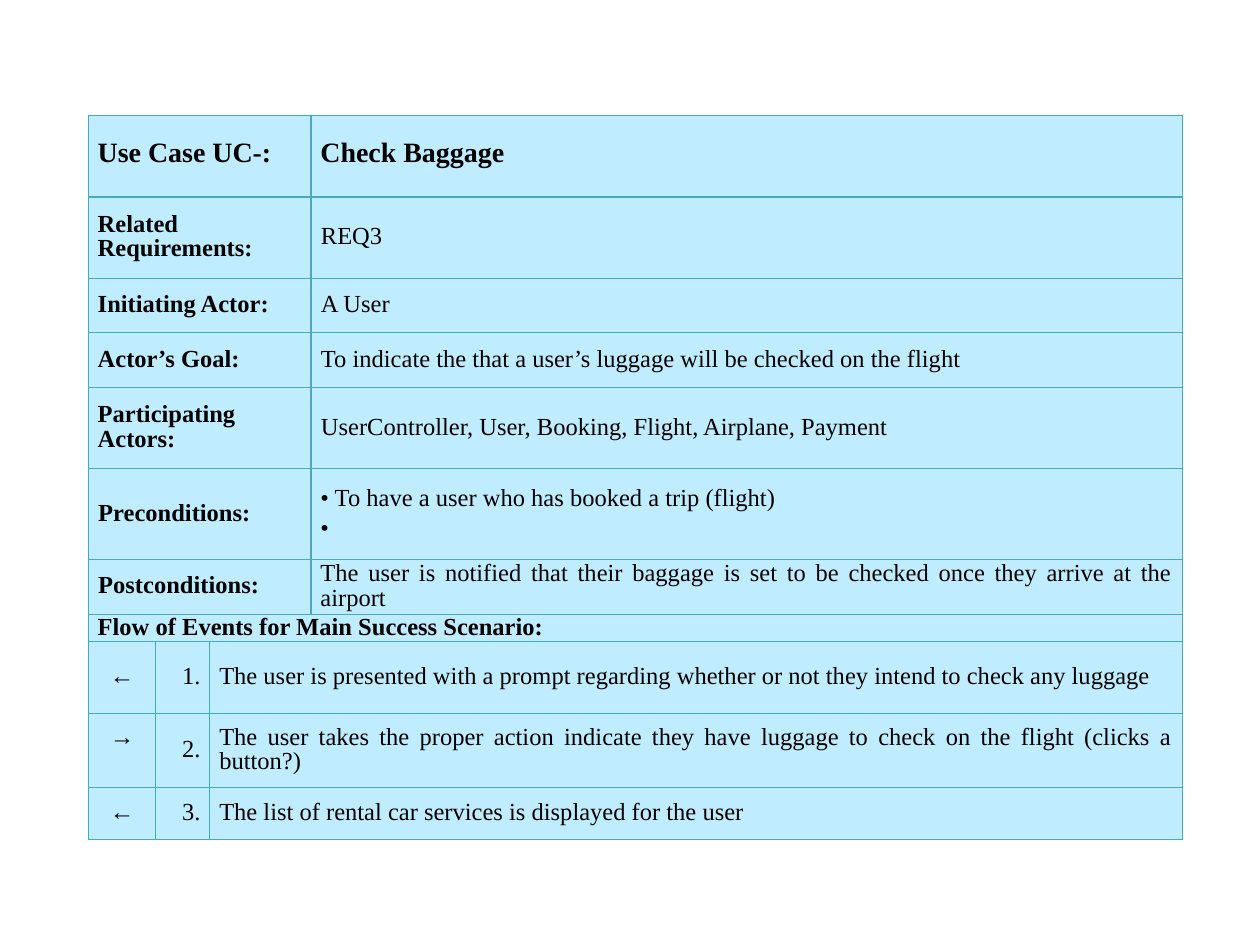
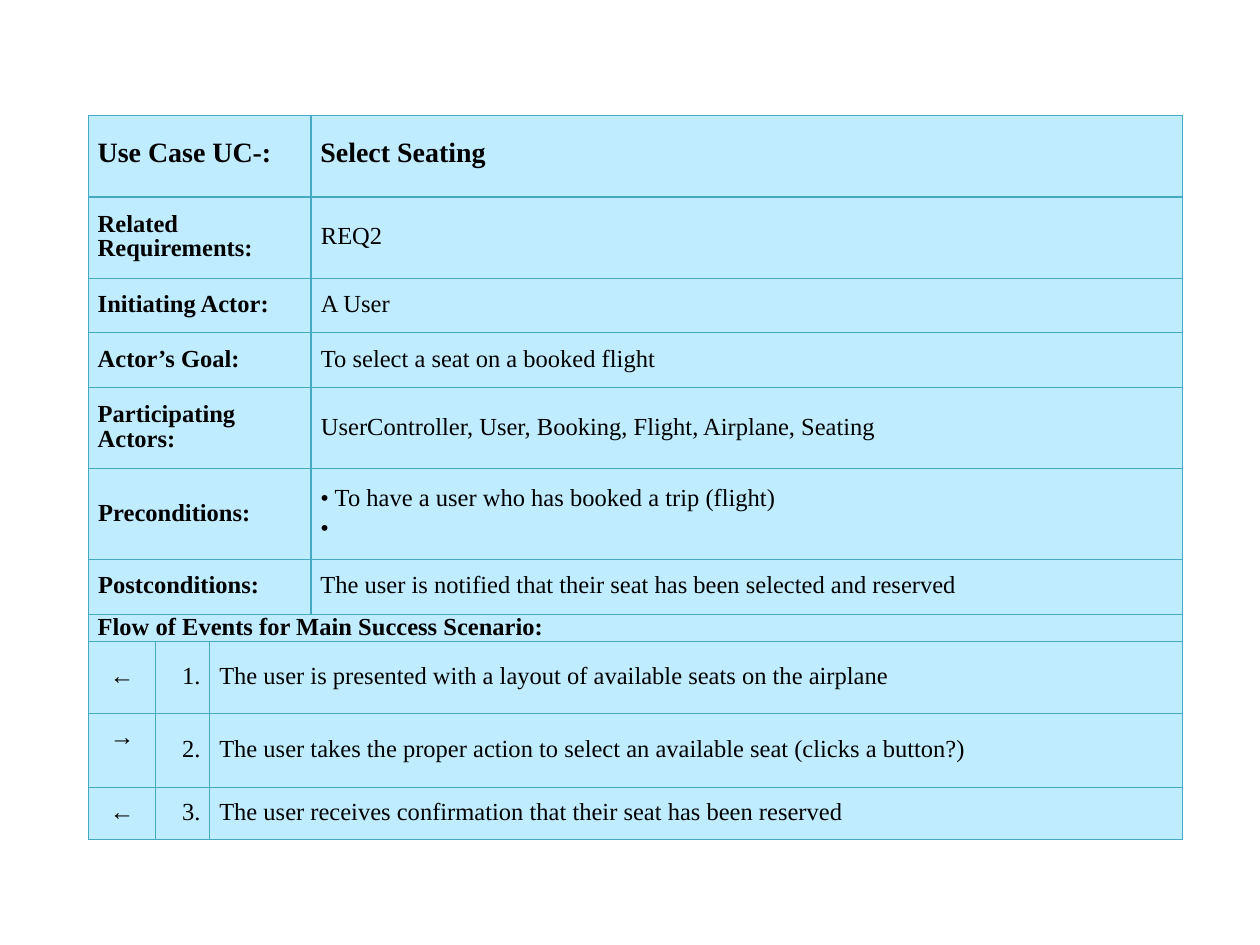
import pptx
import pptx.util
import pptx.dml.color
import pptx.enum.text
from lxml import etree

Cm, Pt = pptx.util.Cm, pptx.util.Pt
ALIGN = pptx.enum.text.PP_ALIGN
LEFT, CENTER, RIGHT, JUSTIFY = ALIGN.LEFT, ALIGN.CENTER, ALIGN.RIGHT, ALIGN.JUSTIFY

FONT = "Times New Roman"
INK, FILL, BORDER = "000000", "BFECFF", "46AAC5"
TABLE_LEFT, TABLE_TOP = 1.78, 2.33
COLUMNS = [1.36, 1.09, 2.04, 17.56]
ROWS = [1.64, 1.64, 1.1, 1.1, 1.64, 1.83, 1.1, 0.56, 1.45, 1.48, 1.06]

# Left and right cell margins in cm
EVEN, VALUE, CONDITION = (0.19, 0.19), (0.2, 0.1), (0.2, 0.05)

# Label, margins of the label, margins of its value
FIELDS = [
    ("Related Requirements:", EVEN, VALUE),
    ("Initiating Actor:", EVEN, VALUE),
    ("Actor’s Goal:", EVEN, VALUE),
    ("Participating Actors:", EVEN, VALUE),
    ("Preconditions:", CONDITION, EVEN),
    ("Postconditions:", CONDITION, EVEN),
]
FLOW_HEADING = "Flow of Events for Main Success Scenario:"
# Arrow, space kept free below it in cm
ARROWS = [("←", 0), ("→", 0.49), ("←", 0)]
PRECONDITIONS = ["• To have a user who has booked a trip (flight)", "•"]

USE_CASES = [
    {
        "name": "Check Baggage",
        "values": [
            ["REQ3"],
            ["A User"],
            ["To indicate the that a user’s luggage will be checked on the flight"],
            ["UserController, User, Booking, Flight, Airplane, Payment"],
            PRECONDITIONS,
            ["The user is notified that their baggage is set to be checked "
             "once they arrive at the airport"],
        ],
        "steps": [
            "The user is presented with a prompt regarding whether or not "
            "they intend to check any luggage",
            "The user takes the proper action indicate they have luggage "
            "to check on the flight (clicks a button?)",
            "The list of rental car services is displayed for the user",
        ],
    },
    {
        "name": "Select Seating",
        "values": [
            ["REQ2"],
            ["A User"],
            ["To select a seat on a booked flight"],
            ["UserController, User, Booking, Flight, Airplane, Seating"],
            PRECONDITIONS,
            ["The user is notified that their seat has been selected and reserved"],
        ],
        "steps": [
            "The user is presented with a layout of available seats on the airplane",
            "The user takes the proper action to select an available seat "
            "(clicks a button?)",
            "The user receives confirmation that their seat has been reserved",
        ],
    },
]


def rgb(value):
    """Turn a hex string into a colour."""
    return pptx.dml.color.RGBColor.from_string(value)


def style_cell(cell):
    """Give a cell its borders on four sides and its fill."""
    tc_pr = cell._tc.get_or_add_tcPr()
    ns = "{http://schemas.openxmlformats.org/drawingml/2006/main}"
    for side in ("lnL", "lnR", "lnT", "lnB"):
        line = etree.SubElement(tc_pr, ns + side, w=str(Pt(0.75)))
        solid = etree.SubElement(line, ns + "solidFill")
        etree.SubElement(solid, ns + "srgbClr", val=BORDER)
    cell.fill.solid()
    cell.fill.fore_color.rgb = rgb(FILL)


def write(cell, lines, size=14, bold=False, align=JUSTIFY, before=0,
          margins=EVEN, bottom=0):
    """Write one paragraph per line into a cell."""
    cell.vertical_anchor = pptx.enum.text.MSO_ANCHOR.MIDDLE
    cell.margin_left, cell.margin_right = (Cm(m) for m in margins)
    cell.margin_top, cell.margin_bottom = 0, Cm(bottom)
    tf = cell.text_frame
    for i, line in enumerate(lines):
        p = tf.add_paragraph() if i else tf.paragraphs[0]
        p.alignment = align
        p.line_spacing = Pt(14)
        p.space_before = Pt(before)
        r = p.add_run()
        r.text = line
        r.font.name, r.font.size, r.font.bold = FONT, Pt(size), bold
        r.font.color.rgb = rgb(INK)


def add_grid(s):
    """Add the empty styled table to a slide."""
    frame = s.shapes.add_table(len(ROWS), len(COLUMNS), Cm(TABLE_LEFT), Cm(TABLE_TOP),
                               Cm(sum(COLUMNS)), Cm(sum(ROWS)))
    table = frame.table
    table.first_row = table.horz_banding = False
    for column, width in zip(table.columns, COLUMNS):
        column.width = Cm(width)
    for row, height in zip(table.rows, ROWS):
        row.height = Cm(height)
    for cell in table.iter_cells():
        style_cell(cell)
        cell.margin_top = cell.margin_bottom = 0
    return table


def merge(table, row, first, last):
    """Merge cells of one row and return the merged cell."""
    cell = table.cell(row, first)
    cell.merge(table.cell(row, last))
    return cell


def add_use_case(prs, case):
    """Add one slide with the table of a use case."""
    table = add_grid(prs.slides.add_slide(prs.slide_layouts[6]))
    heading = dict(size=16, bold=True, align=LEFT, before=6)
    write(merge(table, 0, 0, 2), ["Use Case UC-:"], **heading)
    write(table.cell(0, 3), [case["name"]], **heading)

    for row, (field, value) in enumerate(zip(FIELDS, case["values"]), 1):
        label, label_margins, value_margins = field
        write(merge(table, row, 0, 2), [label], bold=True, before=3,
              margins=label_margins)
        write(table.cell(row, 3), value, before=3, margins=value_margins)

    flow_row = len(FIELDS) + 1
    write(merge(table, flow_row, 0, 3), [FLOW_HEADING], bold=True, before=4)
    for number, ((arrow, below), step) in enumerate(zip(ARROWS, case["steps"]), 1):
        row = flow_row + number
        write(table.cell(row, 0), [arrow], align=CENTER, bottom=below)
        write(table.cell(row, 1), [f"{number}."], align=RIGHT)
        write(merge(table, row, 2, 3), [step])


prs = pptx.Presentation()
prs.slide_width, prs.slide_height = Cm(25.4), Cm(19.05)
for case in USE_CASES:
    add_use_case(prs, case)
prs.save("out.pptx")
